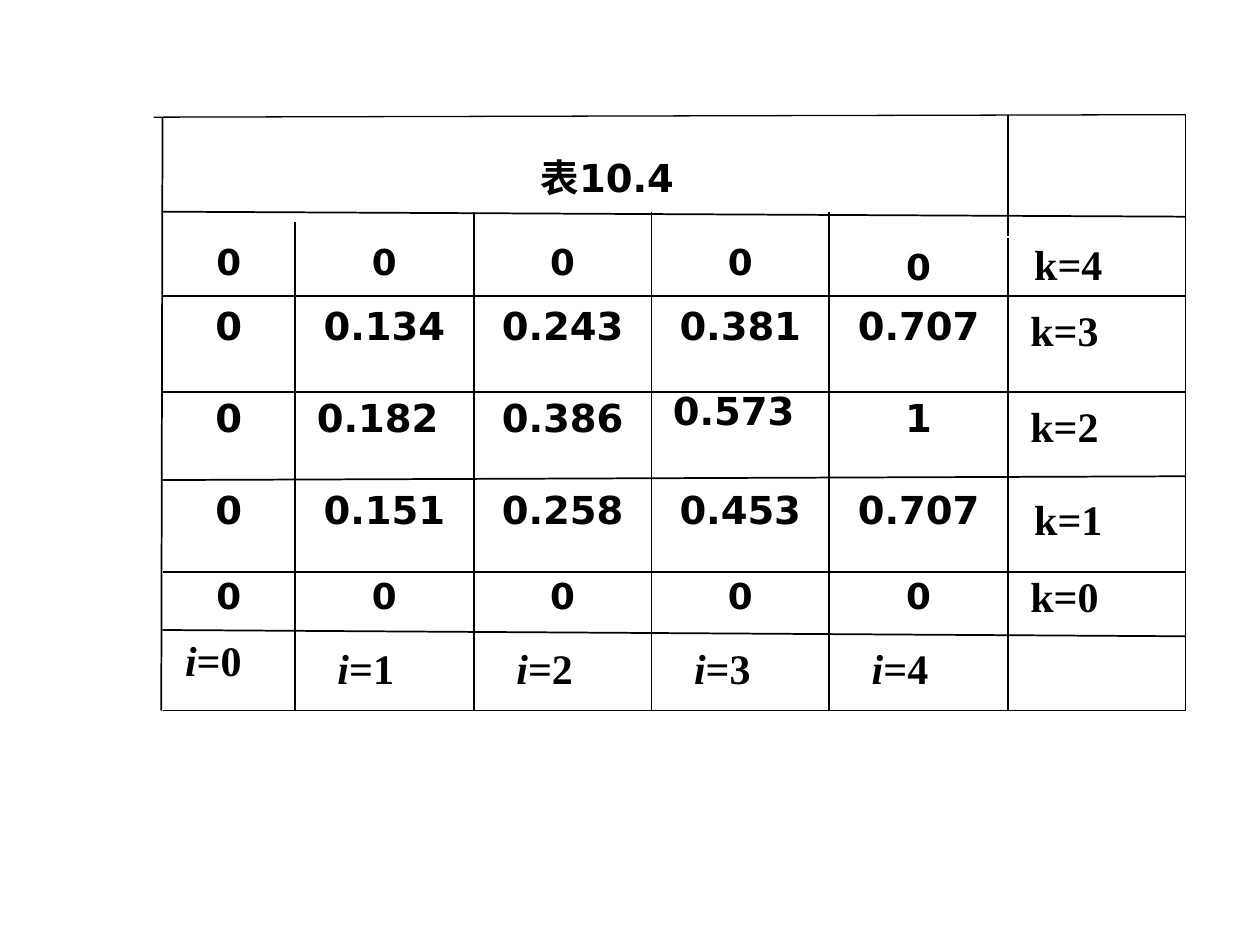
from typing import NamedTuple

from lxml.etree import SubElement
from pptx import Presentation
from pptx.dml.color import RGBColor
from pptx.enum.shapes import MSO_CONNECTOR
from pptx.enum.text import MSO_AUTO_SIZE, PP_ALIGN
from pptx.oxml.ns import qn
from pptx.util import Inches, Pt

BLACK = RGBColor(0, 0, 0)
VALUE_FONT = "DejaVu Sans"
LABEL_FONT = "Times New Roman"
THIN, MEDIUM = 0.75, 1

COLUMN_EDGES = [1.29, 2.34, 3.76, 5.17, 6.58, 8, 9.41]
LEFT, RIGHT = COLUMN_EDGES[0], COLUMN_EDGES[-1]
TOP, HEADING_BOTTOM, BOTTOM = 0.91, 1.68, 5.64


class Box(NamedTuple):
    left: float
    top: float
    width: float
    height: float


class Rule(NamedTuple):
    start: tuple[float, float]
    end: tuple[float, float]
    width: float = MEDIUM


class GridRow(NamedTuple):
    values: tuple[str, ...]
    k_label: str
    top: float
    label_top: float
    label_left: float = 8.08
    height: float = 0.73
    size: float = 22
    line_spacing: float = 1


ROWS = [
    GridRow(("0",) * 5, "k=4", 1.89, 1.84, 8.11, 0.46, 20.4, 0.9),
    GridRow(("0", "0.134", "0.243", "0.381", "0.707"), "k=3", 2.35, 2.37),
    GridRow(("0", "0.182 ", "0.386", "0.573 ", "1"), "k=2", 3.08, 3.13),
    GridRow(("0", "0.151", "0.258", "0.453", "0.707"), "k=1", 3.81, 3.87, 8.11),
    GridRow(("0",) * 5, "k=0", 4.54, 4.48, 8.08, 0.46, 20.4, 0.9),
]
# Values that stand a little above or below the rest of their row
SHIFTED_TOPS = {("k=4", 4): 1.93, ("k=2", 3): 3.02}

FRAME_RULES = [
    Rule((1.22, 0.93), (RIGHT, TOP), THIN),
    Rule((LEFT, BOTTOM), (RIGHT, BOTTOM), THIN),
    Rule((RIGHT, TOP), (RIGHT, BOTTOM), THIN),
    Rule((LEFT, 0.93), (1.28, BOTTOM)),
    Rule((8, TOP), (8, 1.87), THIN),
]
ROW_RULE_ENDS = [(HEADING_BOTTOM, 1.72), (2.35, 2.35), (3.11, 3.11),
                 (3.81, 3.78), (4.54, 4.54), (5, 5.05)]
COLUMN_RULE_TOPS = [1.76, HEADING_BOTTOM, HEADING_BOTTOM, HEADING_BOTTOM, 1.89]


def add_text(slide, box: Box, text: str, font: str, size: float):
    """Add a bold black text box and return it with its text in one run."""
    shape = slide.shapes.add_textbox(*map(Inches, box))
    paragraph = shape.text_frame.paragraphs[0]
    paragraph.text = text
    format_run(paragraph.runs[0], font, size)
    return shape


def format_run(run, font: str, size: float) -> None:
    run.font.name = font
    run.font.size = Pt(size)
    run.font.bold = True
    run.font.color.rgb = BLACK


def add_value(slide, box: Box, text: str, size: float = 22,
              line_spacing: float = 1) -> None:
    shape = add_text(slide, box, text, VALUE_FONT, size)
    shape.text_frame.word_wrap = True
    paragraph = shape.text_frame.paragraphs[0]
    paragraph.alignment = PP_ALIGN.CENTER
    paragraph.line_spacing = line_spacing


def add_label(slide, box: Box, text: str, rest: str = "") -> None:
    """Add a row or column label; with a rest, the first part is italic."""
    shape = add_text(slide, box, text, LABEL_FONT, 24)
    shape.text_frame.word_wrap = False
    shape.text_frame.auto_size = MSO_AUTO_SIZE.SHAPE_TO_FIT_TEXT
    if rest:
        paragraph = shape.text_frame.paragraphs[0]
        paragraph.runs[0].font.italic = True
        run = paragraph.add_run()
        run.text = rest
        format_run(run, LABEL_FONT, 24)


def add_rule(slide, rule: Rule) -> None:
    connector = slide.shapes.add_connector(
        MSO_CONNECTOR.STRAIGHT, *map(Inches, rule.start + rule.end))
    connector.line.color.rgb = BLACK
    connector.line.width = Pt(rule.width)
    SubElement(connector._element.spPr, qn("a:effectLst"))


def add_values(slide) -> None:
    add_value(slide, Box(3.17, 1.17, 3.3, 0.59), "表10.4")
    for row in ROWS:
        for column, value in enumerate(row.values):
            left, right = COLUMN_EDGES[column:column + 2]
            top = SHIFTED_TOPS.get((row.k_label, column), row.top)
            add_value(slide, Box(left, top, right - left, row.height), value,
                      row.size, row.line_spacing)


def add_rules(slide) -> None:
    row_rules = [Rule((LEFT, start), (RIGHT, end)) for start, end in ROW_RULE_ENDS]
    column_rules = [Rule((x, top), (x, BOTTOM))
                    for x, top in zip(COLUMN_EDGES[1:], COLUMN_RULE_TOPS)]
    for rule in FRAME_RULES + row_rules + column_rules:
        add_rule(slide, rule)


def add_labels(slide) -> None:
    for column, edge in enumerate(COLUMN_EDGES[:-2]):
        left, top = (edge + 0.24, 5.05) if column else (1.37, 4.99)
        add_label(slide, Box(left, top, 0.65, 0.5), "i", f"={column}")
    for row in ROWS:
        add_label(slide, Box(row.label_left, row.label_top, 0.74, 0.5), row.k_label)


def main() -> None:
    presentation = Presentation()
    presentation.slide_width, presentation.slide_height = Inches(10), Inches(7.5)
    slide = presentation.slides.add_slide(presentation.slide_layouts[6])
    add_values(slide)
    add_rules(slide)
    add_labels(slide)
    presentation.save("out.pptx")


if __name__ == "__main__":
    main()
